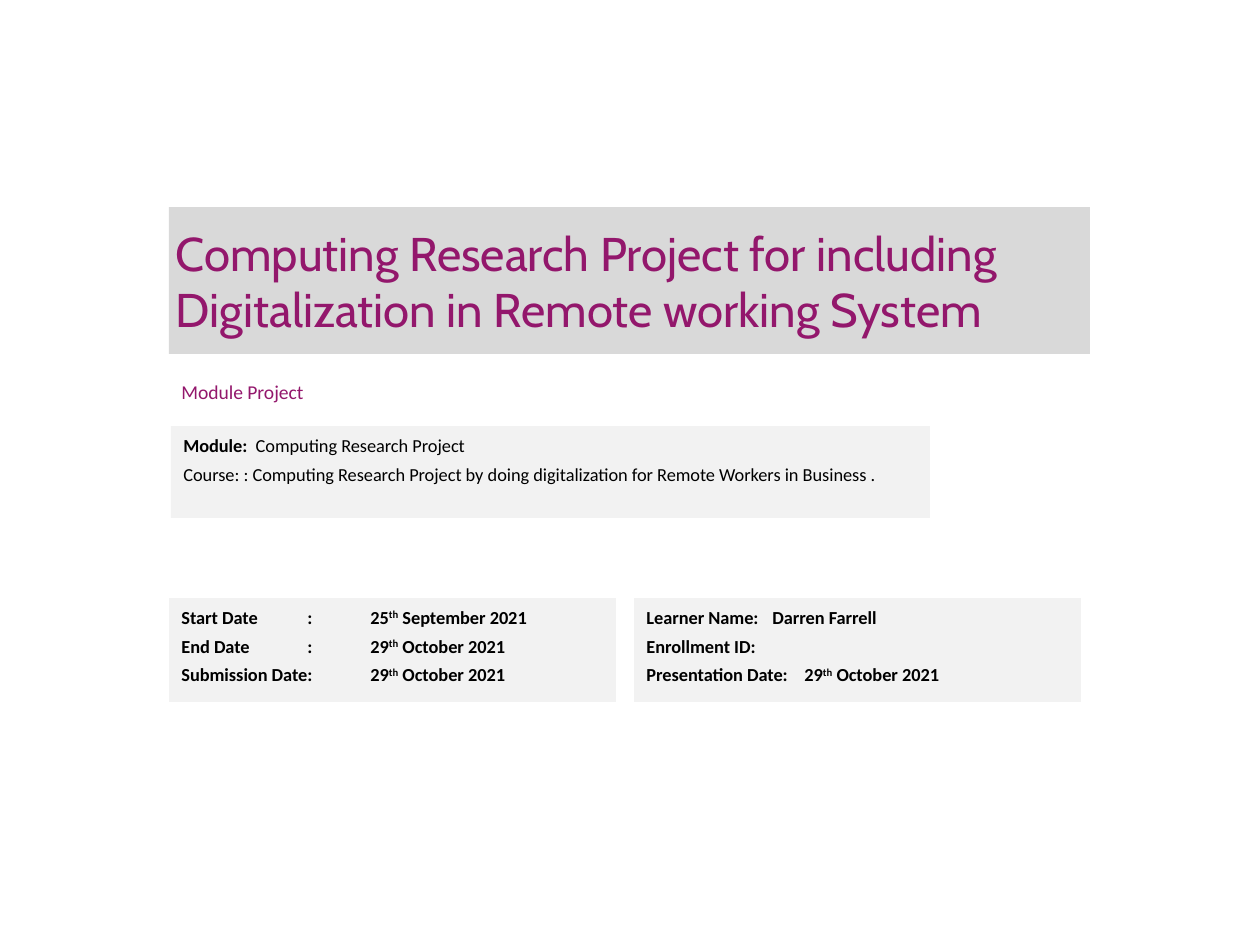
from pptx import Presentation
from pptx import util as u
from pptx.dml.color import RGBColor
from pptx.enum import shapes, text
from pptx.oxml.xmlchemy import OxmlElement

PX_PER_INCH = 126
PURPLE = RGBColor(0x93, 0x17, 0x6C)
BLACK = RGBColor(0, 0, 0)
GREY = RGBColor(0xD9, 0xD9, 0xD9)
PALE_GREY = RGBColor(0xF2, 0xF2, 0xF2)


def px(length):
    return u.Emu(round(length * u.Inches(1) / PX_PER_INCH))


class Page:
    heading_font = "Cabin"
    body_font = "Calibri"

    def __init__(self, deck):
        self.slide = deck.slides.add_slide(deck.slide_layouts[6])

    def style(self, span, font, size, color, bold=False):
        span.font.name = font
        span.font.size = u.Pt(size)
        span.font.color.rgb = color
        span.font.bold = bold

    def panel(self, left, top, width, height, fill):
        box = self.slide.shapes.add_shape(
            shapes.MSO_SHAPE.RECTANGLE, px(left), px(top), px(width), px(height))
        box.shadow.inherit = False
        box.fill.solid()
        box.fill.fore_color.rgb = fill
        box.line.fill.background()
        box.text_frame.word_wrap = True
        return box

    def title(self, words, left, top, width, height):
        box = self.panel(left, top, width, height, GREY)
        frame = box.text_frame
        frame.margin_left = frame.margin_right = px(7)
        frame.margin_top = frame.margin_bottom = px(4)
        frame.vertical_anchor = text.MSO_ANCHOR.MIDDLE
        frame.text = words
        para = frame.paragraphs[0]
        para.alignment = text.PP_ALIGN.LEFT
        for span in para.runs:
            self.style(span, self.heading_font, 27, PURPLE)

    def label(self, words, left, top, width, height):
        box = self.slide.shapes.add_textbox(px(left), px(top), px(width), px(height))
        frame = box.text_frame
        frame.word_wrap = True
        frame.vertical_anchor = text.MSO_ANCHOR.MIDDLE
        frame.text = words
        self.style(frame.paragraphs[0].runs[0], self.body_font, 11.2, PURPLE)

    def details(self, lines, left, top, width, height):
        """Panel of text lines; each line is a list of (words, bold, raised)."""
        frame = self.panel(left, top, width, height, PALE_GREY).text_frame
        frame.vertical_anchor = text.MSO_ANCHOR.TOP
        for index, line in enumerate(lines):
            para = frame.add_paragraph() if index else frame.paragraphs[0]
            para.alignment = text.PP_ALIGN.LEFT
            para.line_spacing = u.Pt(13.5)
            para.space_before = para.space_after = u.Pt(1.5)
            for words, bold, raised in line:
                span = para.add_run()
                span.text = words
                self.style(span, self.body_font, 10.5, BLACK, bold)
                if raised:
                    span.font._element.set("baseline", "30000")
        return frame

    def tab_stop(self, para, position):
        stops = OxmlElement("a:tabLst")
        stop = OxmlElement("a:tab")
        stop.set("pos", str(px(position)))
        stop.set("algn", "l")
        stops.append(stop)
        para._p.get_or_add_pPr().append(stops)


def dated(lead, day, month):
    return [(f"{lead}\t{day}", True, False), ("th", True, True),
            (f" {month} 2021", True, False)]


def main():
    deck = Presentation()
    deck.slide_width, deck.slide_height = u.Inches(10), u.Inches(7.5)
    page = Page(deck)

    page.title("Computing Research Project for including \v"
               "Digitalization in Remote working System", 169, 207, 921, 147)
    page.label("Module Project", 169, 362, 606, 59)
    page.details([
        [("Module: ", True, False), (" Computing Research Project", False, False)],
        [("Course: : Computing Research Project by doing digitalization "
          "for Remote Workers in Business .", False, False)],
    ], 171, 426, 759, 92)

    page.details([
        dated("Start Date\t:", 25, "September"),
        dated("End Date\t:", 29, "October"),
        dated("Submission Date:", 29, "October"),
    ], 169, 598, 447, 104)
    learner = page.details([
        [("Learner Name: \tDarren Farrell", True, False)],
        [("Enrollment ID:", True, False)],
        dated("Presentation Date:", 29, "October"),
    ], 634, 598, 447, 104)
    page.tab_stop(learner.paragraphs[2], 158)

    deck.save("out.pptx")


if __name__ == "__main__":
    main()
